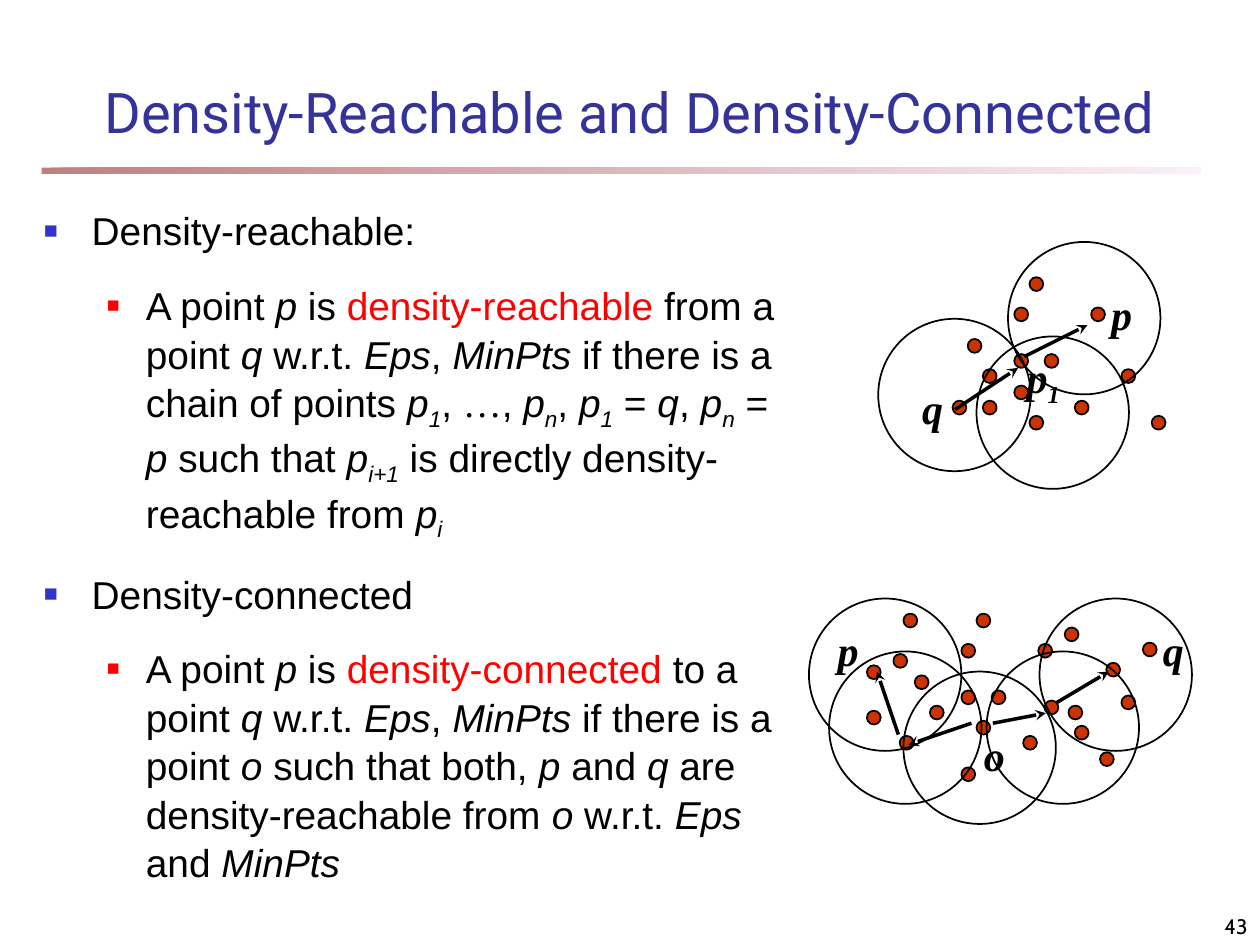
from lxml import etree
from pptx import Presentation
from pptx.dml.color import RGBColor
from pptx.enum import shapes, text
from pptx.oxml import ns
from pptx.util import Inches, Pt

BLACK = RGBColor(0, 0, 0)
RED = RGBColor(0xFF, 0, 0)
BLUE = RGBColor(0x33, 0x33, 0xCC)
TITLE = RGBColor(0x33, 0x33, 0x99)
DOT = RGBColor(0xCC, 0x33, 0x00)
BAR_ENDS = (RGBColor(0x80, 0, 0), RGBColor(0xFA, 0xE2, 0xF6))

deck = Presentation()
deck.slide_width, deck.slide_height = Inches(10), Inches(7.5)
slide = deck.slides.add_slide(deck.slide_layouts[6])


def add_text(left, top, width, height, anchor=text.MSO_ANCHOR.TOP):
    frame = slide.shapes.add_textbox(
        Inches(left), Inches(top), Inches(width), Inches(height)).text_frame
    frame.word_wrap = True
    frame.vertical_anchor = anchor
    return frame


def add_run(paragraph, words, size, font, color=BLACK, style=""):
    run = paragraph.add_run()
    run.text = words
    run.font.size, run.font.name = Pt(size), font
    run.font.color.rgb = color
    run.font.italic = "i" in style
    run.font.bold = "b" in style
    if "s" in style:
        run.font._element.set("baseline", "-25000")


bar = slide.shapes.add_shape(
    shapes.MSO_SHAPE.RECTANGLE, Inches(0.33), Inches(1.33), Inches(9.2), Inches(0.05))
bar.shadow.inherit = False
bar.line.fill.background()
bar.fill.gradient()
bar.fill.gradient_angle = 0
for stop, color in zip(bar.fill.gradient_stops, BAR_ENDS):
    stop.color.rgb = color
for tint in bar._element.spPr.iter(ns.qn("a:srgbClr")):
    etree.SubElement(tint, ns.qn("a:alpha"), val="50000")

title = add_text(0, 0.42, 10, 0.92, text.MSO_ANCHOR.MIDDLE).paragraphs[0]
title.alignment = text.PP_ALIGN.CENTER
add_run(title, "Density-Reachable and Density-Connected", 32, "Roboto", TITLE)

number = add_text(7.92, 7.08, 2.08, 0.42, text.MSO_ANCHOR.BOTTOM).paragraphs[0]
number.alignment = text.PP_ALIGN.RIGHT
add_run(number, "43", 12, "Cabin")

outline = [
    (0, [("Density-reachable:", "")]),
    (1, [("A point ", ""), ("p", "i"), (" is ", ""), ("density-reachable", "r"),
         (" from a point ", ""), ("q", "i"), (" w.r.t. ", ""), ("Eps", "i"), (", ", ""),
         ("MinPts", "i"), (" if there is a chain of points ", ""),
         ("p", "i"), ("1", "is"), (", ", ""), ("…", "t"), (", ", ""),
         ("p", "i"), ("n", "is"), (", ", ""), ("p", "i"), ("1", "is"), (" = ", ""),
         ("q", "i"), (", ", ""), ("p", "i"), ("n", "is"), (" = ", ""), ("p", "i"),
         (" such that ", ""), ("p", "i"), ("i+1", "is"),
         (" is directly density-reachable from ", ""), ("p", "i"), ("i", "is")]),
    (0, [("Density-connected", "")]),
    (1, [("A point ", ""), ("p", "i"), (" is ", ""), ("density-connected", "r"),
         (" to a point ", ""), ("q", "i"), (" w.r.t. ", ""), ("Eps", "i"), (", ", ""),
         ("MinPts", "i"), (" if there is a point ", ""), ("o ", "i"),
         ("such that both, ", ""), ("p", "i"), (" and ", ""), ("q", "i"),
         (" are density-reachable from ", ""), ("o", "i"), (" w.r.t. ", ""),
         ("Eps", "i"), (" and ", ""), ("MinPts", "i")]),
]
bullets = [(0.38, 0.38, BLUE, 60), (0.81, 0.31, RED, 55)]

definitions = add_text(0.25, 1.58, 6.17, 5.5)
for row, (level, runs) in enumerate(outline):
    entry = definitions.add_paragraph() if row else definitions.paragraphs[0]
    entry.level = level
    entry.space_before = Pt(15)
    entry.line_spacing = 1.04
    margin, hang, color, percent = bullets[level]
    props = entry._p.get_or_add_pPr()
    props.set("marL", str(Inches(margin)))
    props.set("indent", str(-Inches(hang)))
    bullet_color = etree.SubElement(props, ns.qn("a:buClr"))
    etree.SubElement(bullet_color, ns.qn("a:srgbClr"), val=str(color))
    etree.SubElement(props, ns.qn("a:buSzPct"), val=str(percent * 1000))
    etree.SubElement(props, ns.qn("a:buFont"), typeface="Arial")
    etree.SubElement(props, ns.qn("a:buChar"), char="■")
    for words, style in runs:
        add_run(entry, words, 22.2, "Times New Roman" if "t" in style else "Arial",
                RED if "r" in style else BLACK, style)

reachable_points = [
    (7.68, 2.69), (8.05, 2.81), (8.05, 2.44), (7.56, 3.18), (7.8, 2.93), (7.8, 3.18),
    (8.17, 3.3), (8.17, 2.2), (8.9, 2.93), (8.66, 2.44), (8.05, 3.06), (8.29, 2.81),
    (8.53, 3.18), (9.14, 3.3)]
connected_points = [
    (7.26, 5.36), (7.63, 5.48), (7.63, 5.11), (7.14, 5.84), (7.38, 5.6), (7.63, 6.09),
    (7.75, 5.72), (7.75, 4.87), (8.48, 5.6), (8.24, 5.11), (6.88, 5.64), (7.87, 5.48),
    (8.12, 5.84), (8.73, 5.97), (8.9, 5.52), (8.29, 5.56), (8.53, 5.76), (9.07, 5.1),
    (8.45, 4.98), (8.78, 5.26), (7.09, 5.19), (6.88, 5.28), (7.17, 4.87)]
neighborhoods = [
    (7.75, 2.67), (6.97, 2.53), (8, 1.92),
    (6.58, 5.17), (7.17, 5.33), (7.83, 5.17), (8.25, 4.75), (6.42, 4.75)]

for places, size, fill in [(reachable_points + connected_points, 0.11, DOT),
                           (neighborhoods, 1.21, None)]:
    for left, top in places:
        circle = slide.shapes.add_shape(
            shapes.MSO_SHAPE.OVAL, Inches(left), Inches(top), Inches(size), Inches(size))
        circle.shadow.inherit = False
        circle.line.color.rgb, circle.line.width = BLACK, Pt(1)
        if fill is None:
            circle.fill.background()
        else:
            circle.fill.solid()
            circle.fill.fore_color.rgb = fill

chains = [
    (7.58, 3.25, 8.08, 2.92), (8.13, 2.83, 8.63, 2.58),
    (7.71, 5.74, 7.21, 5.91), (7.13, 5.83, 6.96, 5.33),
    (7.88, 5.74, 8.3, 5.66), (8.38, 5.58, 8.8, 5.33)]
for ends in chains:
    arrow = slide.shapes.add_connector(
        shapes.MSO_CONNECTOR.STRAIGHT, *[Inches(end) for end in ends])
    arrow.line.color.rgb, arrow.line.width = BLACK, Pt(2)
    etree.SubElement(arrow.line._get_or_add_ln(), ns.qn("a:tailEnd"), type="stealth")
    etree.SubElement(arrow._element.spPr, ns.qn("a:effectLst"))

labels = [
    ("p", "", 8.72, 2.24, 0.42), ("q", "", 7.22, 2.99, 0.42), ("p", "1", 8.05, 2.74, 0.67),
    ("p", "", 6.55, 4.91, 0.42), ("q", "", 9.13, 4.91, 0.42), ("o", "", 7.71, 5.74, 0.42)]
for letter, index, left, top, width in labels:
    label = add_text(left, top, width, 0.5).paragraphs[0]
    label.space_before = Pt(15)
    add_run(label, letter, 24, "Times New Roman", BLACK, "bi")
    if index:
        add_run(label, index, 24, "Times New Roman", BLACK, "bis")

deck.save("out.pptx")
